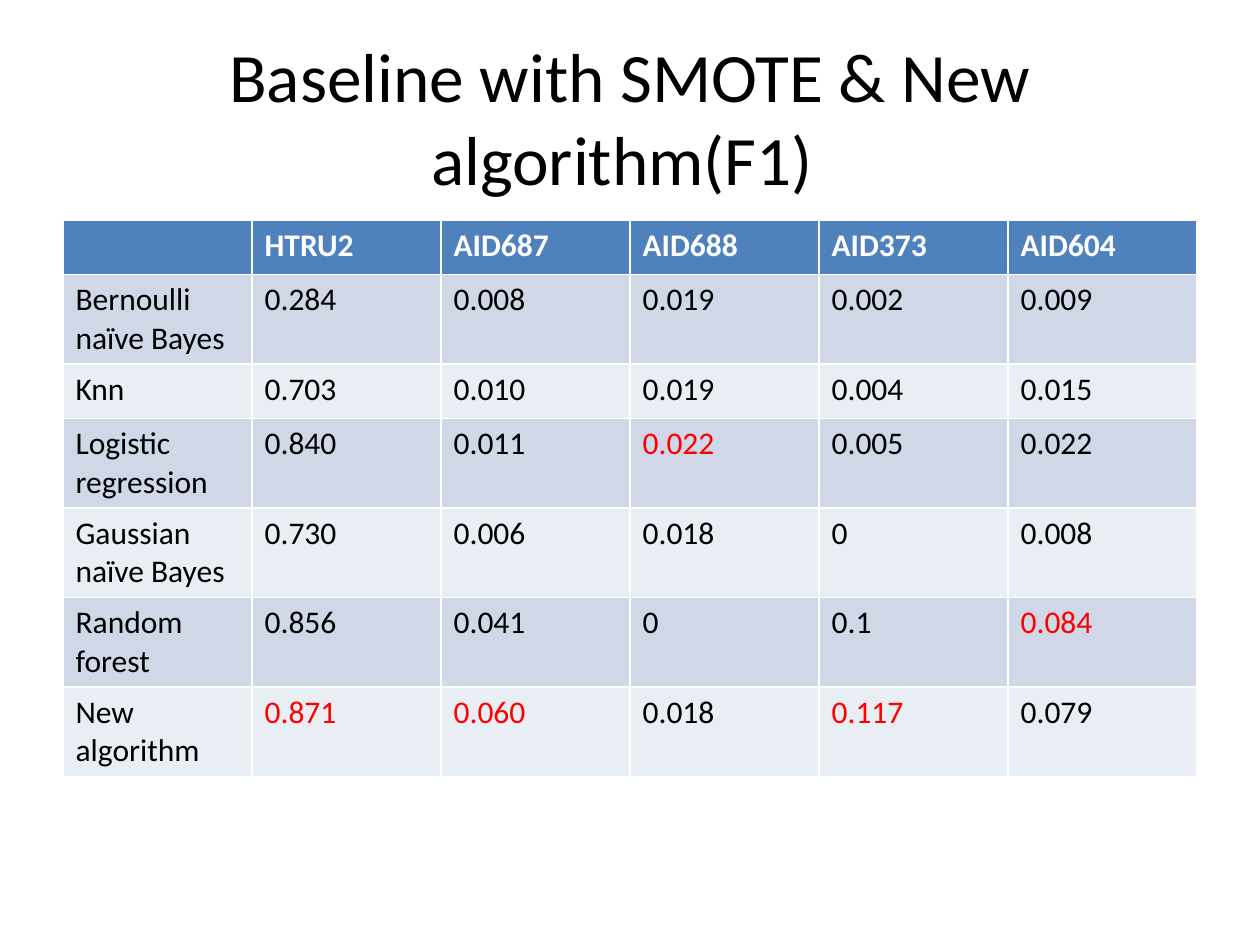
from pptx import Presentation
from pptx.dml.color import RGBColor
from pptx.enum.text import MSO_ANCHOR, MSO_AUTO_SIZE, PP_ALIGN
from pptx.util import Inches, Pt

FONT = "Calibri"
BLACK = RGBColor(0x00, 0x00, 0x00)
WHITE = RGBColor(0xFF, 0xFF, 0xFF)
RED = RGBColor(0xFF, 0x00, 0x00)
HEADER_BLUE = RGBColor(0x4F, 0x81, 0xBD)
BAND_DARK = RGBColor(0xD0, 0xD8, 0xE8)
BAND_LIGHT = RGBColor(0xE9, 0xED, 0xF4)

TITLE = "Baseline with SMOTE & New algorithm(F1) "
DATASETS = ["HTRU2", "AID687", "AID688", "AID373", "AID604"]
SCORES = {
    "Bernoulli naïve Bayes": ["0.284", "0.008", "0.019", "0.002", "0.009"],
    "Knn": ["0.703", "0.010", "0.019", "0.004", "0.015"],
    "Logistic regression": ["0.840", "0.011", "0.022", "0.005", "0.022"],
    "Gaussian naïve Bayes": ["0.730", "0.006", "0.018", "0", "0.008"],
    "Random forest": ["0.856", "0.041", "0", "0.1", "0.084"],
    "New algorithm": ["0.871", "0.060", "0.018", "0.117", "0.079"],
}
COLUMN_WIDTH = Inches(1.5)
ROW_HEIGHT = Inches(0.43)


def format_text(frame, size, color, bold=False):
    for para in frame.paragraphs:
        for span in para.runs:
            span.font.name = FONT
            span.font.size = Pt(size)
            span.font.bold = bold
            span.font.color.rgb = color


def set_title(slide):
    title = slide.shapes.title
    title.left, title.top = Inches(0.5), Inches(0.3)
    title.width, title.height = Inches(9), Inches(1.25)
    frame = title.text_frame
    frame.text = TITLE
    frame.auto_size = MSO_AUTO_SIZE.NONE
    frame.vertical_anchor = MSO_ANCHOR.MIDDLE
    frame.paragraphs[0].alignment = PP_ALIGN.CENTER
    format_text(frame, 39.6, BLACK)


def fill_cell(cell, text, fill, color, bold=False):
    cell.fill.solid()
    cell.fill.fore_color.rgb = fill
    cell.text_frame.text = text
    format_text(cell.text_frame, 18, color, bold)


def add_score_table(slide):
    row_count, column_count = len(SCORES) + 1, len(DATASETS) + 1
    table = slide.shapes.add_table(
        row_count, column_count, Inches(0.5), Inches(1.75),
        COLUMN_WIDTH * column_count, ROW_HEIGHT * row_count,
    ).table

    # Header row
    for column, name in enumerate(["", *DATASETS]):
        fill_cell(table.cell(0, column), name, HEADER_BLUE, WHITE, bold=True)

    # Banded rows, with the best score of each dataset in red
    best = [max(scores, key=float) for scores in zip(*SCORES.values())]
    for row, (method, scores) in enumerate(SCORES.items(), start=1):
        band = BAND_DARK if row % 2 else BAND_LIGHT
        fill_cell(table.cell(row, 0), method, band, BLACK)
        for column, (score, top) in enumerate(zip(scores, best), start=1):
            color = RED if score == top else BLACK
            fill_cell(table.cell(row, column), score, band, color)


def main():
    deck = Presentation()
    deck.slide_width, deck.slide_height = Inches(10), Inches(7.5)
    slide = deck.slides.add_slide(deck.slide_layouts.get_by_name("Title Only"))
    set_title(slide)
    add_score_table(slide)
    deck.save("out.pptx")


if __name__ == "__main__":
    main()
